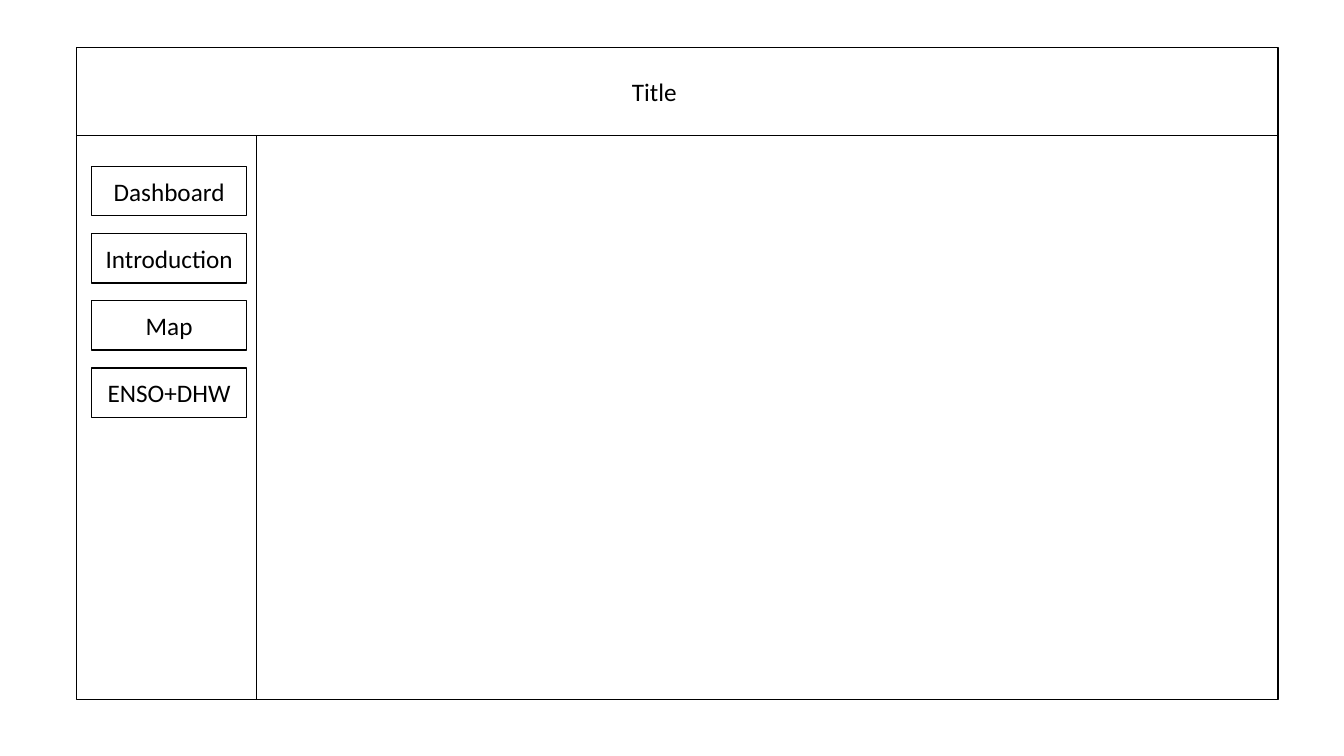
import pptx
import pptx.dml.color
import pptx.enum.shapes
import pptx.enum.text
import pptx.oxml.ns
import pptx.util
from lxml import etree

Pt = pptx.util.Pt
BLACK = pptx.dml.color.RGBColor(0, 0, 0)
WHITE = pptx.dml.color.RGBColor(255, 255, 255)

FRAME_LEFT, FRAME_TOP, FRAME_WIDTH, FRAME_HEIGHT = 54.6, 33.9, 858.2, 465.8
FRAME_RIGHT = FRAME_LEFT + FRAME_WIDTH
FRAME_BOTTOM = FRAME_TOP + FRAME_HEIGHT
HEADER_BOTTOM = 97
SIDEBAR_RIGHT = 183

MENU = ("Dashboard", "Introduction", "Map", "ENSO+DHW")
MENU_LEFT, MENU_TOP, MENU_PITCH = 65.4, 118.8, 48
BUTTON_WIDTH, BUTTON_HEIGHT = 110.9, 35.3


def set_font(paragraph):
    paragraph.font.name = "Calibri"
    paragraph.font.size = Pt(18)
    paragraph.font.color.rgb = BLACK


def add_box(slide, left, top, width, height):
    box = slide.shapes.add_shape(
        pptx.enum.shapes.MSO_SHAPE.RECTANGLE,
        Pt(left), Pt(top), Pt(width), Pt(height))
    box.shadow.inherit = False
    box.fill.solid()
    box.fill.fore_color.rgb = WHITE
    box.line.color.rgb = BLACK
    box.line.width = Pt(1)
    return box


def add_divider(slide, x1, y1, x2, y2):
    divider = slide.shapes.add_connector(
        pptx.enum.shapes.MSO_CONNECTOR.STRAIGHT,
        Pt(x1), Pt(y1), Pt(x2), Pt(y2))
    divider.line.color.rgb = BLACK
    divider.line.width = Pt(0.5)
    etree.SubElement(divider.element.spPr, pptx.oxml.ns.qn("a:effectLst"))


def add_button(slide, label, top):
    button = add_box(slide, MENU_LEFT, top, BUTTON_WIDTH, BUTTON_HEIGHT)
    frame = button.text_frame
    frame.text = label
    frame.vertical_anchor = pptx.enum.text.MSO_ANCHOR.MIDDLE
    frame.paragraphs[0].alignment = pptx.enum.text.PP_ALIGN.CENTER
    set_font(frame.paragraphs[0])


def place_title(slide, text):
    """Fill the title placeholder and bring it in front of the frame."""
    title = slide.shapes.title
    title.left, title.top = Pt(444.2), Pt(51.1)
    title.width, title.height = Pt(46.8), Pt(29)
    frame = title.text_frame
    frame.text = text
    frame.word_wrap = False
    frame.auto_size = pptx.enum.text.MSO_AUTO_SIZE.SHAPE_TO_FIT_TEXT
    frame.vertical_anchor = pptx.enum.text.MSO_ANCHOR.TOP
    frame.paragraphs[0].alignment = pptx.enum.text.PP_ALIGN.LEFT
    set_font(frame.paragraphs[0])
    title.element.getparent().append(title.element)


def main():
    deck = pptx.Presentation()
    deck.slide_width, deck.slide_height = Pt(960), Pt(540)
    slide = deck.slides.add_slide(deck.slide_layouts.get_by_name("Title Only"))

    add_box(slide, FRAME_LEFT, FRAME_TOP, FRAME_WIDTH, FRAME_HEIGHT)
    add_divider(slide, FRAME_LEFT, HEADER_BOTTOM, FRAME_RIGHT, HEADER_BOTTOM)
    add_divider(slide, SIDEBAR_RIGHT, HEADER_BOTTOM, SIDEBAR_RIGHT, FRAME_BOTTOM)
    place_title(slide, "Title")
    for row, label in enumerate(MENU):
        add_button(slide, label, MENU_TOP + row * MENU_PITCH)

    deck.save("out.pptx")


if __name__ == "__main__":
    main()
